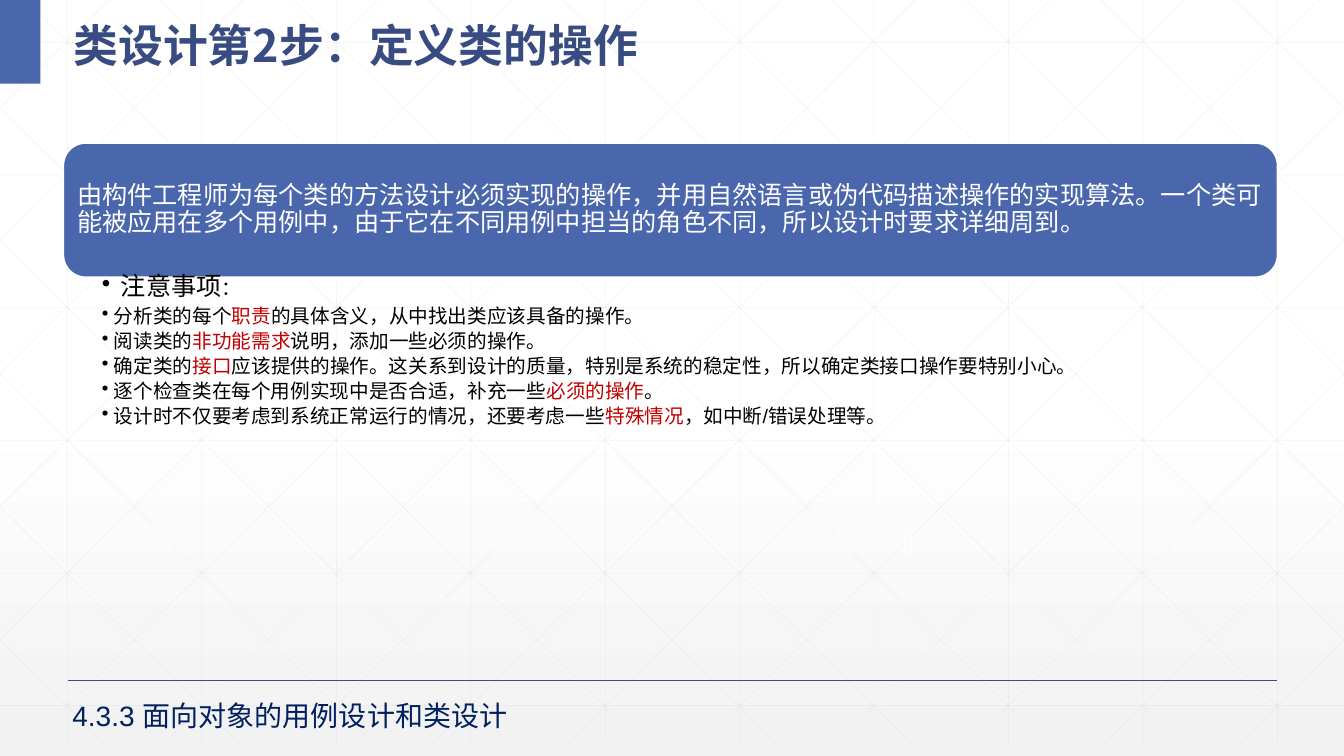
from lxml.etree import SubElement
from pptx import Presentation
from pptx.dml.color import RGBColor
from pptx.enum.shapes import MSO_CONNECTOR as Connector, MSO_SHAPE as Shape
from pptx.enum.text import MSO_ANCHOR as Anchor, PP_ALIGN as Align
from pptx.oxml.ns import qn
from pptx.util import Inches, Pt

WHITE = RGBColor(0xFF, 0xFF, 0xFF)
BLACK = RGBColor(0, 0, 0)
PALE_GRAY = RGBColor(0xF2, 0xF2, 0xF2)
GRID_GRAY = RGBColor(0xD9, 0xD9, 0xD9)
BLUE = RGBColor(0x4A, 0x66, 0xAC)
DARK_BLUE = RGBColor(0x38, 0x4C, 0x81)
NAVY = RGBColor(0x00, 0x20, 0x60)
RED = RGBColor(0xC0, 0, 0)

WIDTH, HEIGHT = 13.33, 7.5
GRID_BOTTOM = 7.37
GRID_STEP = 4 / 3
DIAGONAL_RUN = 7.45

SUMMARY = (
    "由构件工程师为每个类的方法设计必须实现的操作，并用自然语言或伪代码描述操作的实现算法。"
    "一个类可能被应用在多个用例中，由于它在不同用例中担当的角色不同，所以设计时要求详细周到。"
)
NOTES = [
    ("分析类的每个", "职责", "的具体含义，从中找出类应该具备的操作。"),
    ("阅读类的", "非功能需求", "说明，添加一些必须的操作。"),
    ("确定类的", "接口",
     "应该提供的操作。这关系到设计的质量，特别是系统的稳定性，所以确定类接口操作要特别小心。"),
    ("逐个检查类在每个用例实现中是否合适，补充一些", "必须的操作", "。"),
    ("设计时不仅要考虑到系统正常运行的情况，还要考虑一些", "特殊情况", "，如中断/错误处理等。"),
]


def set_background(slide):
    fill = slide.background.fill
    fill.gradient()
    fill.gradient_angle = 270
    for stop, position, color in zip(fill.gradient_stops, (0.53, 1), (WHITE, PALE_GRAY)):
        stop.position = position
        stop.color.rgb = color


def add_line(slide, x1, y1, x2, y2, color, weight, alpha=None):
    line = slide.shapes.add_connector(
        Connector.STRAIGHT, Inches(x1), Inches(y1), Inches(x2), Inches(y2))
    line.line.color.rgb = color
    line.line.width = Pt(weight)
    properties = line._element.spPr
    SubElement(properties, qn("a:effectLst"))
    if alpha is not None:
        color_element = properties.find(".//" + qn("a:srgbClr"))
        SubElement(color_element, qn("a:alpha")).set("val", str(alpha * 1000))


def add_grid(slide):
    def add_grid_line(*ends):
        add_line(slide, *ends, GRID_GRAY, 0.5, alpha=25)

    for column in range(10):
        x = 0.67 + column * GRID_STEP
        add_grid_line(x, 0, x, GRID_BOTTOM)
    for row in range(6):
        y = 0.42 + row * 1.316
        add_grid_line(0, y, WIDTH, y)
    slope = GRID_BOTTOM / DIAGONAL_RUN
    for index in range(-5, 10):
        start = 0.25 + index * GRID_STEP
        left = max(start, 0)
        right = min(start + DIAGONAL_RUN, WIDTH)
        top, bottom = (left - start) * slope, (right - start) * slope
        add_grid_line(left, top, right, bottom)
        add_grid_line(WIDTH - left, top, WIDTH - right, bottom)


def add_shape(slide, kind, left, top, width, height, fill=None, line=None):
    shape = slide.shapes.add_shape(
        kind, Inches(left), Inches(top), Inches(width), Inches(height))
    shape.shadow.inherit = False
    if fill is None:
        shape.fill.background()
    else:
        shape.fill.solid()
        shape.fill.fore_color.rgb = fill
    if line is None:
        shape.line.fill.background()
    else:
        shape.line.color.rgb = line
        shape.line.width = Pt(1)
    return shape


def add_text_box(slide, left, top, width, height, anchor=Anchor.TOP):
    box = slide.shapes.add_textbox(Inches(left), Inches(top), Inches(width), Inches(height))
    frame = box.text_frame
    frame.word_wrap = True
    frame.vertical_anchor = anchor
    return frame


def set_font(paragraph, size, color, name="Arial", bold=False):
    font = paragraph.font
    font.size = Pt(size)
    font.bold = bold
    font.color.rgb = color
    font.name = name
    defaults = paragraph._p.pPr.find(qn("a:defRPr"))
    SubElement(defaults, qn("a:ea")).set("typeface", name)


def set_text(paragraph, text, size, color, spacing=1.0, **font):
    paragraph.add_run().text = text
    paragraph.alignment = Align.LEFT
    paragraph.line_spacing = spacing
    set_font(paragraph, size, color, **font)


def set_bullet(paragraph, size, indent):
    paragraph.level = 1
    paragraph.line_spacing = 0.9
    paragraph.space_after = Pt(size * 0.2)
    properties = paragraph._p.get_or_add_pPr()
    properties.set("marL", str(Inches(indent)))
    properties.set("indent", str(-Inches(indent)))
    SubElement(properties, qn("a:buChar")).set("char", "•")
    set_font(paragraph, size, BLACK)


def add_notes(slide):
    frame = add_text_box(slide, 0.63, 2.69, 12.04, 2.64)
    frame.margin_left, frame.margin_right = Inches(0.38), Inches(0.14)
    frame.margin_top = frame.margin_bottom = Inches(0.03)
    heading = frame.paragraphs[0]
    set_bullet(heading, 18, 0.19)
    heading.add_run().text = "注意事项"
    colon = heading.add_run()
    colon.text = "："
    colon.font.size = Pt(14)
    for before, keyword, after in NOTES:
        paragraph = frame.add_paragraph()
        set_bullet(paragraph, 14, 0.12)
        paragraph.add_run().text = before
        highlight = paragraph.add_run()
        highlight.text = keyword
        highlight.font.color.rgb = RED
        paragraph.add_run().text = after


def add_summary(slide):
    panel = add_shape(slide, Shape.ROUNDED_RECTANGLE, 0.63, 1.42, 12.04, 1.33, BLUE, WHITE)
    frame = panel.text_frame
    frame.word_wrap = True
    frame.vertical_anchor = Anchor.MIDDLE
    frame.margin_left = frame.margin_right = Inches(0.07)
    frame.margin_top = frame.margin_bottom = Inches(0.07)
    set_text(frame.paragraphs[0], SUMMARY, 18, WHITE, spacing=0.9)


def main():
    presentation = Presentation()
    presentation.slide_width = Inches(WIDTH)
    presentation.slide_height = Inches(HEIGHT)
    slide = presentation.slides.add_slide(presentation.slide_layouts[6])
    set_background(slide)
    add_grid(slide)
    add_line(slide, 0.67, 6.75, 12.67, 6.75, DARK_BLUE, 1)
    add_shape(slide, Shape.RECTANGLE, 0, 0, 0.4, 0.83, BLUE)
    title = add_text_box(slide, 0.63, 0, 6.99, 0.73, Anchor.MIDDLE)
    set_text(title.paragraphs[0], "类设计第2步：定义类的操作", 32, DARK_BLUE,
             spacing=1.3, name="Noto Sans CJK SC", bold=True)
    section = add_text_box(slide, 0.62, 6.88, 6.04, 0.44)
    set_text(section.paragraphs[0], "4.3.3 面向对象的用例设计和类设计", 20, NAVY)
    add_summary(slide)
    add_shape(slide, Shape.ROUNDED_RECTANGLE, 8.98, 5.3, 0.05, 0.22, line=WHITE)
    add_notes(slide)
    presentation.save("out.pptx")


if __name__ == "__main__":
    main()
